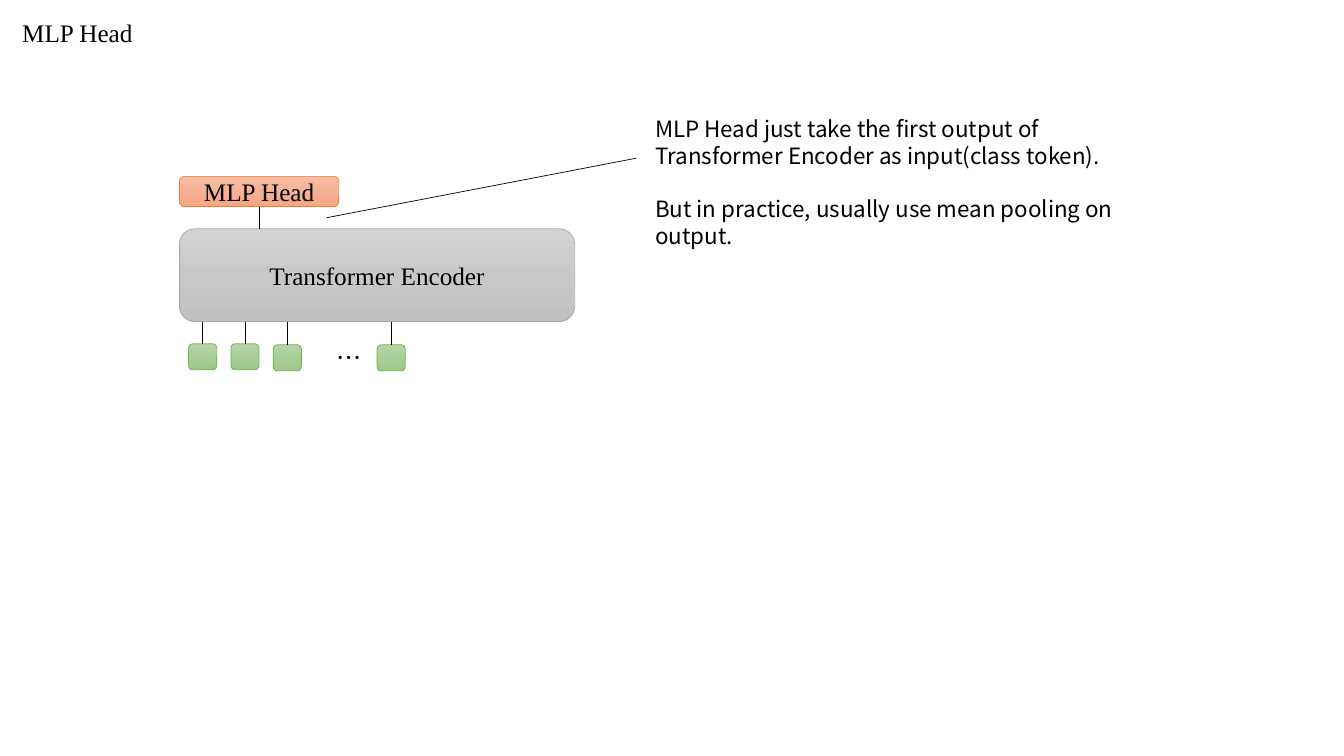
from copy import deepcopy

from lxml import etree
from pptx import Presentation
from pptx.dml.color import RGBColor
from pptx.enum.shapes import MSO_CONNECTOR, MSO_SHAPE
from pptx.enum.text import MSO_ANCHOR, MSO_AUTO_SIZE, PP_ALIGN
from pptx.oxml.ns import qn
from pptx.util import Inches, Pt

STRAIGHT = MSO_CONNECTOR.STRAIGHT
ROUNDED = MSO_SHAPE.ROUNDED_RECTANGLE
TOP, MIDDLE = MSO_ANCHOR.TOP, MSO_ANCHOR.MIDDLE
LEFT, CENTER = PP_ALIGN.LEFT, PP_ALIGN.CENTER
FIXED = MSO_AUTO_SIZE.NONE
TOP_SIDE, BOTTOM_SIDE = 0, 2

SERIF = "Times New Roman"
SANS = "Noto Sans CJK SC"
BLACK = "000000"
GRAY = (("D2D2D2", "C8C8C8", "C0C0C0"), "A5A5A5")
ORANGE = (("F7BDA5", "F5B196", "F8A582"), "ED7D31")
GREEN = (("B5D5A7", "AACE9A", "9CC987"), "70AD47")


def color(hex_value):
    return RGBColor.from_string(hex_value)


class Diagram:
    label_format = {"name": SERIF, "size": Pt(18), "bold": False}
    dots_format = {"name": SANS, "size": Pt(18)}
    note_format = {"name": SANS, "size": Pt(16)}
    note_pitch = Pt(19.2)
    line_width = Pt(0.5)

    def __init__(self, slide):
        self.slide = slide

    def fill_text(self, frame, paragraphs, text_format, align=LEFT, anchor=TOP):
        settings = {"word_wrap": True, "auto_size": FIXED, "vertical_anchor": anchor}
        for key, value in settings.items():
            setattr(frame, key, value)
        for index, words in enumerate(paragraphs):
            paragraph = frame.paragraphs[0] if index == 0 else frame.add_paragraph()
            paragraph.alignment = align
            run = paragraph.add_run()
            run.text = words
            for key, value in text_format.items():
                setattr(run.font, key, value)
            run.font.color.rgb = color(BLACK)

    def title(self, words, *box):
        heading = self.slide.shapes.title
        for key, value in zip(("left", "top", "width", "height"), box):
            setattr(heading, key, Inches(value))
        self.fill_text(heading.text_frame, [words], self.label_format)

    def text(self, paragraphs, text_format, *box):
        frame = self.slide.shapes.add_textbox(*map(Inches, box)).text_frame
        self.fill_text(frame, paragraphs, text_format)
        return frame

    def note(self, paragraphs, *box):
        frame = self.text(paragraphs, self.note_format, *box)
        for index, paragraph in enumerate(frame.paragraphs):
            paragraph.line_spacing = self.note_pitch
            if index:
                paragraph.space_before = self.note_pitch

    def block(self, palette, *box, label=None):
        shades, outline = palette
        shape = self.slide.shapes.add_shape(ROUNDED, *map(Inches, box))
        shape.shadow.inherit = False
        shape.line.color.rgb = color(outline)
        shape.line.width = self.line_width
        shape.fill.gradient()
        shape.fill.gradient_angle = 270
        first_stop = next(shape._element.spPr.iter(qn("a:gs")))
        first_stop.addnext(deepcopy(first_stop))
        for index, (stop, shade) in enumerate(zip(shape.fill.gradient_stops, shades)):
            stop.position = index / 2
            stop.color.rgb = color(shade)
        if label:
            self.fill_text(shape.text_frame, [label], self.label_format, CENTER, MIDDLE)
        return shape

    def link(self, *ends, source=None, side=None):
        line = self.slide.shapes.add_connector(STRAIGHT, *map(Inches, ends))
        line.line.color.rgb = color(BLACK)
        line.line.width = self.line_width
        etree.SubElement(line._element.spPr, qn("a:effectLst"))
        if source is not None:
            line.begin_connect(source, side)


def main():
    deck = Presentation()
    deck.slide_width, deck.slide_height = Inches(13.33), Inches(7.5)
    diagram = Diagram(deck.slides.add_slide(deck.slide_layouts[5]))
    diagram.title("MLP Head", 0.12, 0.12, 4.21, 0.4)

    encoder_top, encoder_bottom = 2.27, 3.19
    diagram.block(GRAY, 1.78, encoder_top, 3.92, encoder_bottom - encoder_top,
                  label="Transformer Encoder")
    head = diagram.block(ORANGE, 1.78, 1.75, 1.58, 0.3, label="MLP Head")
    diagram.link(2.57, 2.05, 2.57, encoder_top, source=head, side=BOTTOM_SIDE)

    token_width, token_height = 0.28, 0.26
    for left, top in ((1.87, 3.41), (2.29, 3.41), (2.71, 3.42), (3.74, 3.42)):
        token = diagram.block(GREEN, left, top, token_width, token_height)
        center = left + token_width / 2
        diagram.link(center, top, center, encoder_bottom, source=token, side=TOP_SIDE)
    diagram.text(["…"], diagram.dots_format, 3.24, 3.35, 0.41, 0.4)

    diagram.link(3.24, 2.16, 6.31, 1.57)
    diagram.note([
        "MLP Head just take the first output of Transformer Encoder as input(class token).",
        "But in practice, usually use mean pooling on output.",
    ], 6.4, 1.09, 4.86, 1.45)

    deck.save("out.pptx")


if __name__ == "__main__":
    main()
